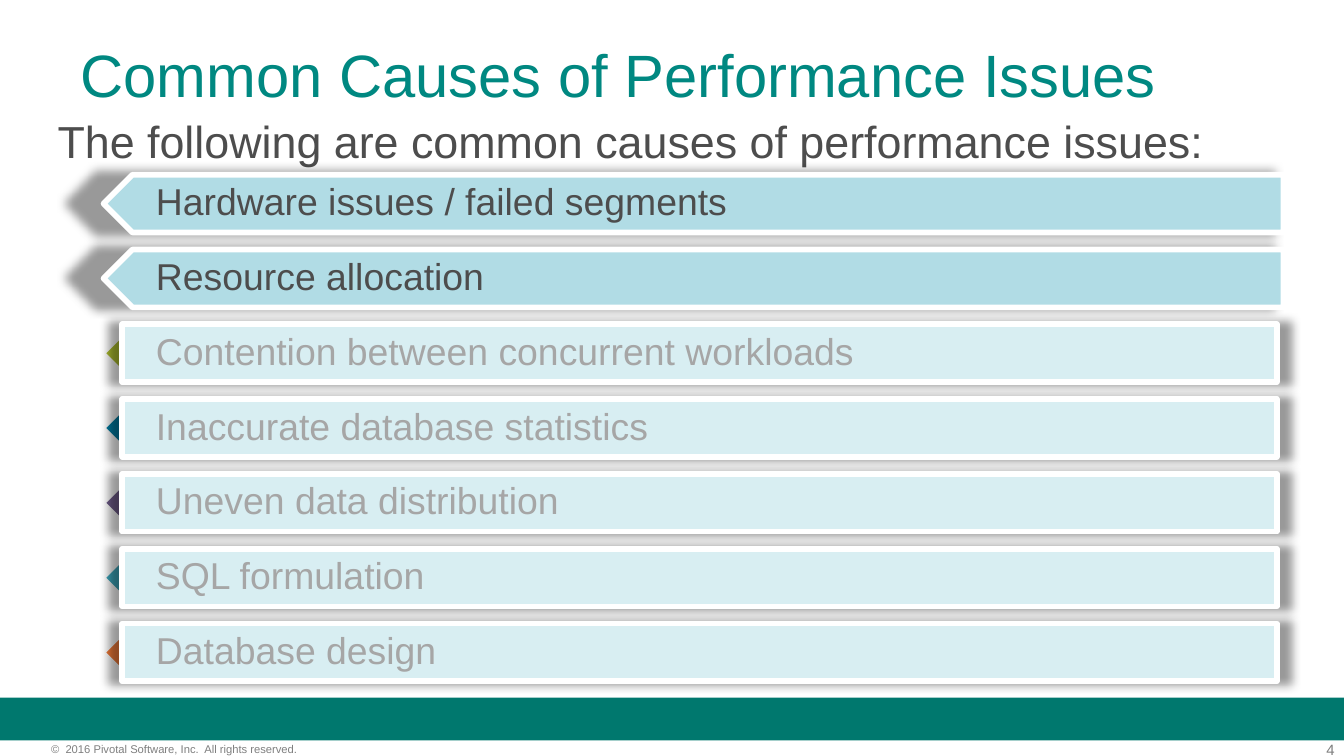
"""Build the slide that lists common causes of performance issues."""
import pptx
import pptx.dml.color
import pptx.enum.shapes
import pptx.enum.text
import pptx.oxml
import pptx.oxml.ns
import pptx.util

Inches = pptx.util.Inches
Pt = pptx.util.Pt
SHAPE = pptx.enum.shapes.MSO_SHAPE
ANCHOR = pptx.enum.text.MSO_ANCHOR
ALIGN = pptx.enum.text.PP_ALIGN

COLORS = {
    "white": "FFFFFF", "band": "00786E", "title": "008881", "text": "4D4D4D",
    "muted": "A6A6A6", "footer": "7F7F7F", "active": "B1DCE5", "card": "D8EEF2",
    "lime": "AEBF2F", "blue": "007CA2", "purple": "705D8B", "teal": "3EA7BC",
    "orange": "F27C3A",
}
TITLE = "Common Causes of Performance Issues"
INTRO = "The following are common causes of performance issues:"
COPYRIGHT = "©  2016 Pivotal Software, Inc.  All rights reserved."
PAGE_NUMBER = "4"
CAUSES = [
    ("Hardware issues / failed segments", "active"),
    ("Resource allocation", "active"),
    ("Contention between concurrent workloads", "lime"),
    ("Inaccurate database statistics", "blue"),
    ("Uneven data distribution", "purple"),
    ("SQL formulation", "teal"),
    ("Database design", "orange"),
]
SLIDE_WIDTH = Inches(10)
SLIDE_HEIGHT = SLIDE_WIDTH * 9 // 16
FIRST_TOP, LAST_TOP, ROW_HEIGHT = 1.3, 4.64, 0.43
ARROW_LEFT, CARD_LEFT, CARD_WIDTH = 0.77, 0.91, 8.59
ACTIVE_WIDTH, ACCENT_WIDTH = 8.78, 6.65
CARD_INSETS = (0.25, 0.1, 0.19, 0.1)
TEXT_INSETS = (0.1, 0.05, 0.1, 0.05)


def rgb(name):
    return pptx.dml.color.RGBColor.from_string(COLORS[name])


def write(shape, text, size, color, insets=(0, 0, 0, 0), anchor=ANCHOR.TOP, align=ALIGN.LEFT):
    frame = shape.text_frame
    frame.word_wrap = True
    frame.vertical_anchor = anchor
    frame.margin_left, frame.margin_top, frame.margin_right, frame.margin_bottom = map(Inches, insets)
    frame.text = text
    para = frame.paragraphs[0]
    para.alignment = align
    for span in para.runs:
        span.font.name = "Arial"
        span.font.size = Pt(size)
        span.font.color.rgb = rgb(color)
    return para


def add_text(page, place, *args, **options):
    return write(page.shapes.add_textbox(*map(Inches, place)), *args, **options)


def add_shape(page, kind, place, fill, line_width=0):
    shape = page.shapes.add_shape(kind, *map(Inches, place))
    shape.shadow.inherit = False
    shape.fill.solid()
    shape.fill.fore_color.rgb = rgb(fill)
    if line_width:
        shape.line.color.rgb = rgb("white")
        shape.line.width = Pt(line_width)
    else:
        shape.line.fill.background()
    return shape


def add_shadow(shape):
    effects = shape._element.spPr.find(pptx.oxml.ns.qn("a:effectLst"))
    effects.append(pptx.oxml.parse_xml(
        f'<a:outerShdw {pptx.oxml.ns.nsdecls("a")} blurRad="{Pt(5)}" dist="0" '
        'sx="102000" sy="102000" algn="ctr" rotWithShape="0">'
        '<a:srgbClr val="000000"><a:alpha val="40000"/></a:srgbClr></a:outerShdw>'))


def add_cause(page, top, text, color):
    active = color == "active"
    arrow_place = (ARROW_LEFT, top, ACTIVE_WIDTH if active else ACCENT_WIDTH, ROW_HEIGHT)
    card_place = (CARD_LEFT, top, CARD_WIDTH, ROW_HEIGHT)
    arrow = add_shape(page, SHAPE.PENTAGON, arrow_place, color, 3 if active else 2)
    arrow.rotation = 180
    if active:
        add_shadow(arrow)
        card = page.shapes.add_textbox(*map(Inches, card_place))
    else:
        card = add_shape(page, SHAPE.RECTANGLE, card_place, "card", 3)
        add_shadow(card)
    para = write(card, text, 20, "text" if active else "muted", CARD_INSETS, ANCHOR.MIDDLE)
    para.line_spacing = 0.9


def main():
    deck = pptx.Presentation()
    deck.slide_width, deck.slide_height = SLIDE_WIDTH, SLIDE_HEIGHT
    page = deck.slides.add_slide(deck.slide_layouts[6])
    add_shape(page, SHAPE.RECTANGLE, (0, 5.19, 10, 0.32), "band")
    add_text(page, (9.35, 5.51, 0.58, 0.13), PAGE_NUMBER, 8, "footer", align=ALIGN.RIGHT)
    add_text(page, (0.38, 5.52, 2.49, 0.1), COPYRIGHT, 6, "footer")
    add_text(page, (0.5, 0.23, 9, 0.94), TITLE, 32, "title", TEXT_INSETS)
    add_text(page, (0.33, 0.8, 9.25, 4.25), INTRO, 24, "text", TEXT_INSETS)
    pitch = (LAST_TOP - FIRST_TOP) / (len(CAUSES) - 1)
    for row, (text, color) in enumerate(CAUSES):
        add_cause(page, FIRST_TOP + row * pitch, text, color)
    deck.save("out.pptx")


if __name__ == "__main__":
    main()
